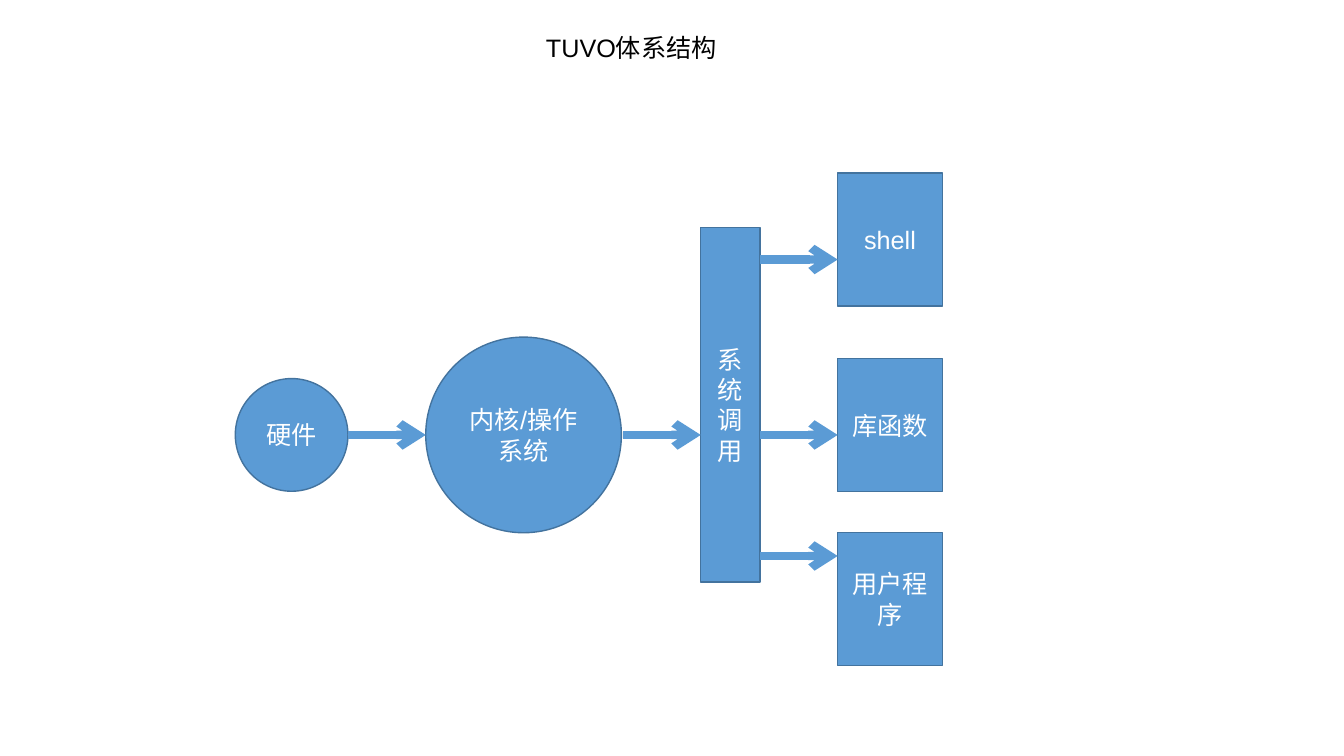
"""Draw a slide on the layers of an operating system."""
from dataclasses import dataclass
from typing import Any

from lxml import etree
from pptx import Presentation
from pptx import util as u
from pptx.dml import color
from pptx.enum import shapes, text
from pptx.oxml import ns

HUES = {"fill": "5B9BD5", "edge": "43739E", "light": "FFFFFF", "dark": "000000"}
FONT = {"name": "Arial", "size": u.Pt(18)}
FRAME = {"word_wrap": True, "vertical_anchor": text.MSO_ANCHOR.MIDDLE}
MID = 10.96  # height of the main axis, cm
REACH = 1.96  # arrow length, cm
OVAL, RECT = shapes.MSO_SHAPE.OVAL, shapes.MSO_SHAPE.RECTANGLE


@dataclass
class Node:
    """A labelled shape, in cm."""
    label: str
    form: Any
    left: float
    top: float
    width: float
    height: float


@dataclass
class Arrow:
    """The start of a level arrow, in cm."""
    left: float
    level: float


def tint(key: str) -> color.RGBColor:
    """Return a named colour."""
    return color.RGBColor.from_string(HUES[key])


def apply(item: Any, style: dict[str, Any]) -> None:
    """Set each attribute in a style."""
    for key, value in style.items():
        setattr(item, key, value)


def write(frame: Any, label: str, hue: str, align: Any) -> None:
    """Put one styled line of text in a frame."""
    para = frame.paragraphs[0]
    para.alignment = align
    run = para.add_run()
    run.text = label
    apply(run.font, FONT)
    run.font.color.rgb = tint(hue)


def disc(label: str, left: float, size: float) -> Node:
    """Make a circle centred on the main axis."""
    return Node(label, OVAL, left, MID - size / 2, size, size)


def draw_node(slide: Any, node: Node) -> None:
    """Draw a filled shape with its label."""
    area = map(u.Cm, (node.left, node.top, node.width, node.height))
    shape = slide.shapes.add_shape(node.form, *area)
    shape.shadow.inherit = False
    shape.fill.solid()
    shape.fill.fore_color.rgb = tint("fill")
    shape.line.color.rgb = tint("edge")
    shape.line.width = u.Pt(1)
    apply(shape.text_frame, FRAME)
    write(shape.text_frame, node.label, "light", text.PP_ALIGN.CENTER)


def draw_arrow(slide: Any, arrow: Arrow) -> None:
    """Draw a thick arrow to the right."""
    ends = (arrow.left, arrow.level, arrow.left + REACH, arrow.level)
    link = slide.shapes.add_connector(shapes.MSO_CONNECTOR.STRAIGHT, *map(u.Cm, ends))
    link.line.color.rgb = tint("fill")
    link.line.width = u.Pt(6)
    etree.SubElement(link.line._get_or_add_ln(), ns.qn("a:tailEnd"), type="arrow")
    etree.SubElement(link._element.spPr, ns.qn("a:effectLst"))


def draw_title(slide: Any, label: str) -> None:
    """Draw the heading."""
    box = slide.shapes.add_textbox(*map(u.Cm, (13.51, 0.69, 6.86, 1.02)))
    box.text_frame.word_wrap = True
    write(box.text_frame, label, "dark", text.PP_ALIGN.LEFT)


def main() -> None:
    """Build and save the deck."""
    deck = Presentation()
    apply(deck, {"slide_width": u.Cm(33.87), "slide_height": u.Cm(19.05)})
    slide = deck.slides.add_slide(deck.slide_layouts[6])
    draw_title(slide, "TUVO体系结构")

    users = (("shell", 4.36), ("库函数", 9.04), ("用户程序", 13.42))
    nodes = [
        disc("硬件", 5.93, 2.84),
        disc("内核/操作系统", 10.73, 4.93),
        Node("系统调用", RECT, 17.66, 5.73, 1.49, 8.94),
        *(Node(name, RECT, 21.11, top, 2.64, 3.35) for name, top in users),
    ]
    arrows = [Arrow(left, MID) for left in (8.77, 15.7)]
    arrows += [Arrow(19.15, level) for level in (6.54, MID, 14.01)]
    for node in nodes:
        draw_node(slide, node)
    for arrow in arrows:
        draw_arrow(slide, arrow)
    deck.save("out.pptx")


main()
